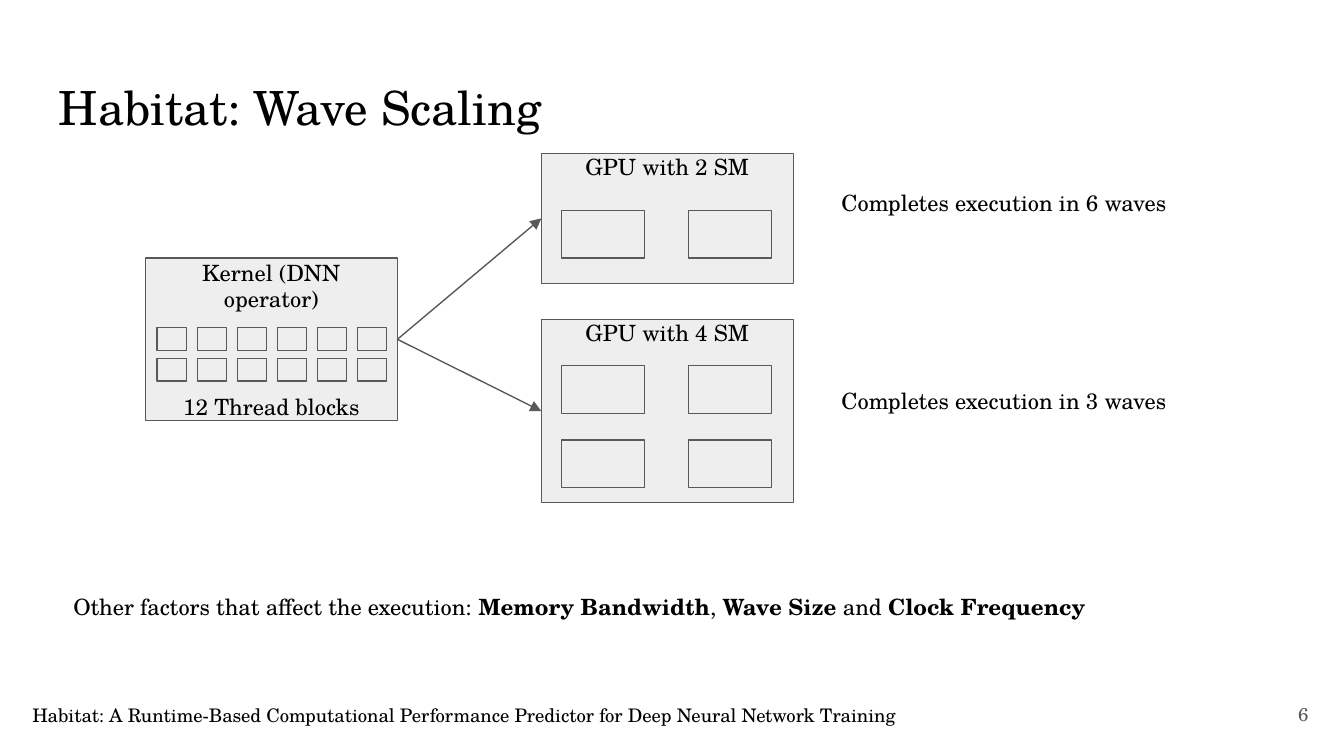
import pptx
import pptx.dml.color
import pptx.enum.shapes
import pptx.enum.text
import pptx.oxml
import pptx.oxml.ns
import pptx.util

FONT = "TeX Gyre Schola"
BLACK, GREY, PALE = "000000", "595959", "EEEEEE"
INSET = 7.2
ALIGN = pptx.enum.text.PP_ALIGN
ANCHOR = pptx.enum.text.MSO_ANCHOR
Pt = pptx.util.Pt


def rgb(value):
    return pptx.dml.color.RGBColor.from_string(value)


def add_span(para, text, size=12, color=BLACK, bold=False):
    span = para.add_run()
    span.text = text
    span.font.name = FONT
    span.font.size = Pt(size)
    span.font.bold = bold
    span.font.color.rgb = rgb(color)


def set_frame(frame, anchor=ANCHOR.TOP, top=INSET, bottom=INSET):
    frame.word_wrap = True
    frame.vertical_anchor = anchor
    frame.margin_left = frame.margin_right = Pt(INSET)
    frame.margin_top, frame.margin_bottom = Pt(top), Pt(bottom)


def add_text(page, bounds, spans, size=12, color=BLACK,
             align=ALIGN.LEFT, anchor=ANCHOR.TOP):
    """Add a one-paragraph text box; spans are (text, bold) pairs."""
    box = page.shapes.add_textbox(*map(Pt, bounds))
    set_frame(box.text_frame, anchor)
    para = box.text_frame.paragraphs[0]
    para.alignment = align
    for text, bold in spans:
        add_span(para, text, size, color, bold)
    return para


def add_box(page, left, top, width, height):
    box = page.shapes.add_shape(
        pptx.enum.shapes.MSO_SHAPE.RECTANGLE,
        Pt(left), Pt(top), Pt(width), Pt(height))
    box.shadow.inherit = False
    box.fill.solid()
    box.fill.fore_color.rgb = rgb(PALE)
    box.line.color.rgb = rgb(GREY)
    box.line.width = Pt(0.75)
    return box


def add_grid(page, left, top, columns, rows, pitch, size):
    for row in range(rows):
        for column in range(columns):
            add_box(page, left + column * pitch[0], top + row * pitch[1], *size)


def add_kernel(page):
    kernel = add_box(page, 77.9, 138.2, 135, 87.2)
    frame = kernel.text_frame
    set_frame(frame, ANCHOR.MIDDLE, 0, 0)
    name = frame.paragraphs[0]
    count = frame.add_paragraph()
    count.space_before = Pt(43.2)
    for para, text in ((name, "Kernel (DNN operator)"),
                       (count, "12 Thread blocks")):
        para.alignment = ALIGN.CENTER
        add_span(para, text)
    add_grid(page, 84.2, 175.6, 6, 2, (21.45, 16.5), (15.8, 12.1))
    return kernel


def add_gpu(page, name, top, height, sm_top, sm_rows):
    gpu = add_box(page, 290, top, 135, height)
    set_frame(gpu.text_frame, top=0)
    para = gpu.text_frame.paragraphs[0]
    para.alignment = ALIGN.CENTER
    add_span(para, name)
    add_grid(page, 300.8, sm_top, 2, sm_rows, (68, 39.8), (44.6, 25.5))
    return gpu


def add_arrow(page, source, target):
    """Join the right side of source to the left side of target."""
    arrow = page.shapes.add_connector(
        pptx.enum.shapes.MSO_CONNECTOR.STRAIGHT, 0, 0, 0, 0)
    arrow.begin_connect(source, 3)
    arrow.end_connect(target, 1)
    arrow.line.color.rgb = rgb(GREY)
    arrow.line.width = Pt(0.75)
    head = pptx.oxml.parse_xml(
        f'<a:tailEnd {pptx.oxml.ns.nsdecls("a")} type="triangle"/>')
    arrow.line._get_or_add_ln().append(head)
    arrow._element.spPr.append(pptx.oxml.parse_xml(
        f'<a:effectLst {pptx.oxml.ns.nsdecls("a")}/>'))


def main():
    deck = pptx.Presentation()
    deck.slide_width, deck.slide_height = Pt(720), Pt(405)
    page = deck.slides.add_slide(deck.slide_layouts[6])

    footer = add_text(page, (10.2, 368.6, 490.3, 26.6), [
        ("Habitat: A Runtime-Based Computational Performance Predictor "
         "for Deep Neural Network Training", False)], size=10)
    footer.line_spacing = 1.15
    footer.space_after = Pt(3)
    add_text(page, (24.5, 35, 671, 45.1),
             [("Habitat: Wave Scaling", False)], size=25.2)
    add_text(page, (676, 368.6, 32, 28.1), [("6", False)], size=10,
             color=GREY, align=ALIGN.RIGHT, anchor=ANCHOR.MIDDLE)

    kernel = add_kernel(page)
    gpus = (("GPU with 2 SM", 82.2, 69.6, 112.7, 1, 6, 94.3),
            ("GPU with 4 SM", 171.2, 98, 196, 2, 3, 200.3))
    for name, top, height, sm_top, sm_rows, waves, note_top in gpus:
        gpu = add_gpu(page, name, top, height, sm_top, sm_rows)
        add_arrow(page, kernel, gpu)
        add_text(page, (443.7, note_top, 198, 25.2),
                 [(f"Completes execution in {waves} waves", False)])

    add_text(page, (32.2, 310.6, 656, 51.8), [
        ("Other factors that affect the execution: ", False),
        ("Memory Bandwidth", True), (", ", False),
        ("Wave Size", True), (" and ", False),
        ("Clock Frequency", True)])
    deck.save("out.pptx")


if __name__ == "__main__":
    main()
